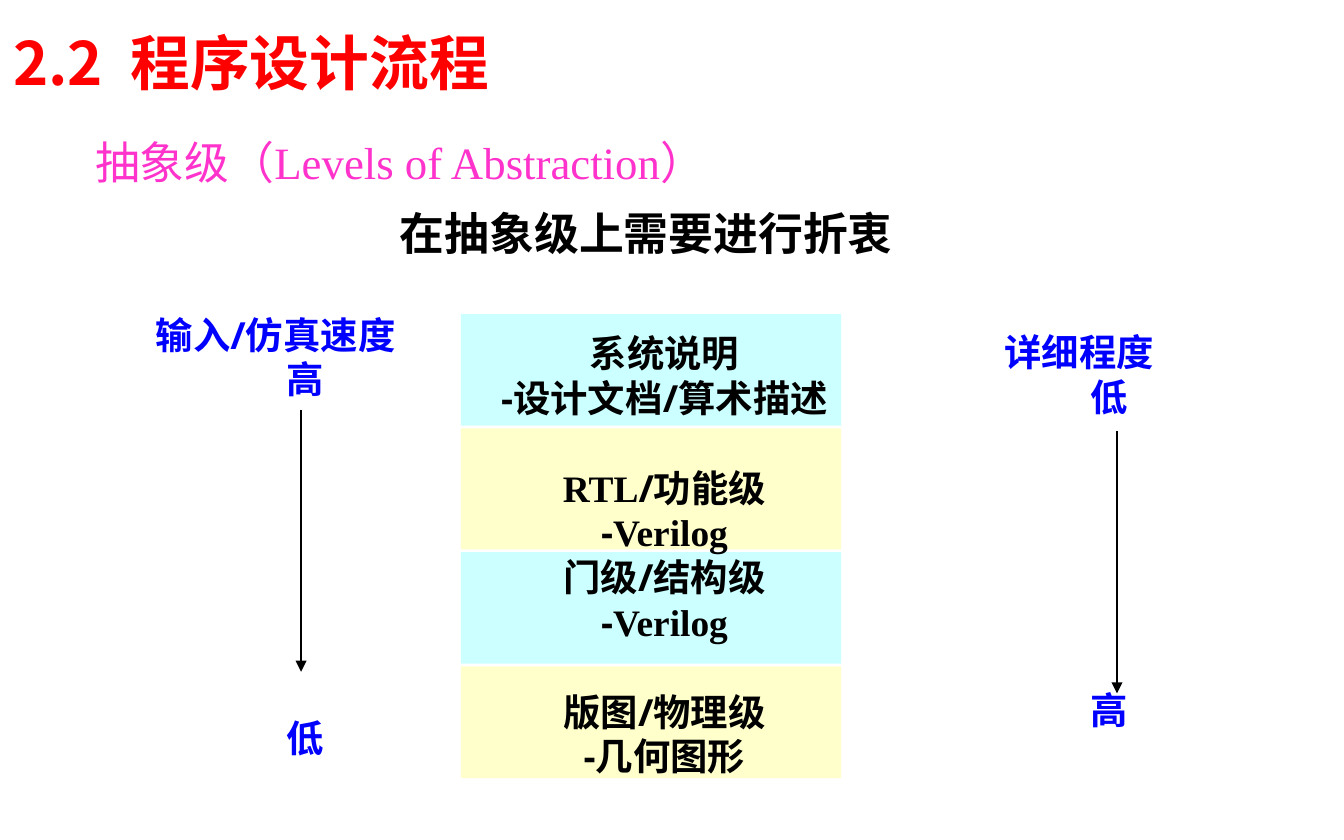
from dataclasses import dataclass
from typing import Any

from lxml.etree import SubElement
from pptx import Presentation
from pptx.dml.color import RGBColor
from pptx.enum.shapes import MSO_CONNECTOR as Line, MSO_SHAPE as Shape
from pptx.enum.text import PP_ALIGN as Align
from pptx.oxml.ns import qn
from pptx.util import Cm, Pt

COLORS = {"heading": "FF0000", "topic": "FF33CC", "label": "0000FF",
          "ink": "000000", "cyan": "CCFFFF", "yellow": "FFFFCC"}
SANS, SERIF, CJK = "Open Sans", "Times New Roman", "Noto Sans CJK SC"
ROW = 24


@dataclass
class Board:
    """Draws styled elements on the current slide."""
    slide: Any

    def color(self, name):
        return RGBColor.from_string(COLORS[name])

    def band(self, left, top, width, height, fill):
        rect = self.slide.shapes.add_shape(
            Shape.RECTANGLE, Cm(left), Cm(top), Cm(width), Cm(height))
        rect.shadow.inherit = False
        rect.fill.solid()
        rect.fill.fore_color.rgb = self.color(fill)
        rect.line.fill.background()

    def frame(self, left, top, width, height, margin=True):
        frame = self.slide.shapes.add_textbox(
            Cm(left), Cm(top), Cm(width), Cm(height)).text_frame
        frame.word_wrap = True
        if not margin:
            frame.margin_left = frame.margin_right = 0
            frame.margin_top = frame.margin_bottom = 0
        return frame

    def paragraph(self, frame, runs, size, color, bold=True, align=Align.CENTER,
                  gap=0, indent=0, spacing=None):
        first = frame.paragraphs[0]
        para = frame.add_paragraph() if first.runs else first
        para.alignment = align
        para.space_before = Pt(gap)
        if spacing:
            para.line_spacing = spacing
        if indent:
            para._p.get_or_add_pPr().set("marL", str(Cm(indent)))
        for text, font in runs:
            run = para.add_run()
            run.text = text
            run.font.name, run.font.size, run.font.bold = font, Pt(size), bold
            run.font.color.rgb = self.color(color)
            SubElement(run._r.get_or_add_rPr(), qn("a:ea"), typeface=CJK)

    def arrow(self, x, top, bottom):
        arrow = self.slide.shapes.add_connector(
            Line.STRAIGHT, Cm(x), Cm(top), Cm(x), Cm(bottom))
        arrow.line.width = Pt(0.75)
        arrow.line.color.rgb = self.color("ink")
        SubElement(arrow.line._get_or_add_ln(), qn("a:tailEnd"), type="triangle")
        SubElement(arrow._element.spPr, qn("a:effectLst"))

    def scale(self, left, top, height, title, start, end, blank_rows):
        frame = self.frame(left, top, 6.78, height)
        for text, rows, indent in ((title, 0, 0), (start, 0, 0.95),
                                   (end, blank_rows, 0.95)):
            self.paragraph(frame, [(text, SANS)], 20, "label", gap=rows * ROW,
                           indent=indent, spacing=Pt(ROW))


deck = Presentation()
deck.slide_width, deck.slide_height = Cm(25.4), Cm(15.88)
board = Board(deck.slides.add_slide(deck.slide_layouts[6]))

topic = board.frame(1.8, 2.24, 21.51, 1, margin=False)
board.paragraph(topic, [("抽象级（Levels of Abstraction）", SERIF)], 24, "topic",
                bold=False, align=Align.LEFT, spacing=1.3)

for top, height, fill in ((5.94, 2.11, "cyan"), (8.1, 2.29, "yellow"),
                          (10.44, 2.11, "cyan"), (12.6, 2.11, "yellow")):
    board.band(8.71, top, 7.19, height, fill)

tradeoff = board.frame(2.13, 3.76, 20.17, 0.84)
board.paragraph(tradeoff, [("在抽象级上需要进行折衷", SANS)], 24, "ink")

levels = board.frame(8.89, 6.12, 7.34, 8.81)
verilog = [("-", SANS), ("Verilog", SERIF)]
for blank_rows, runs in (
        (0, [("系统说明", SANS)]),
        (0, [("-设计文档/算术描述", SANS)]),
        (1, [("RTL", SERIF), ("/功能级", SANS)]),
        (0, verilog),
        (0, [("门级/结构级", SANS)]),
        (0, verilog),
        (1, [("版图/物理级", SANS)]),
        (0, [("-几何图形", SANS)])):
    board.paragraph(levels, runs, 20, "ink", gap=blank_rows * ROW, spacing=Pt(ROW))

board.scale(17.09, 6.1, 7.95, "详细程度 ", "低", "高", 6)
board.arrow(21.11, 8.15, 13.11)
board.scale(1.9, 5.77, 8.81, "输入/仿真速度 ", "高", "低", 7)
board.arrow(5.69, 7.75, 12.7)

heading = board.frame(0, 0.36, 16.21, 1.63)
board.paragraph(heading, [("2.2  程序设计流程", CJK)], 32, "heading", align=Align.LEFT)

deck.save("out.pptx")
